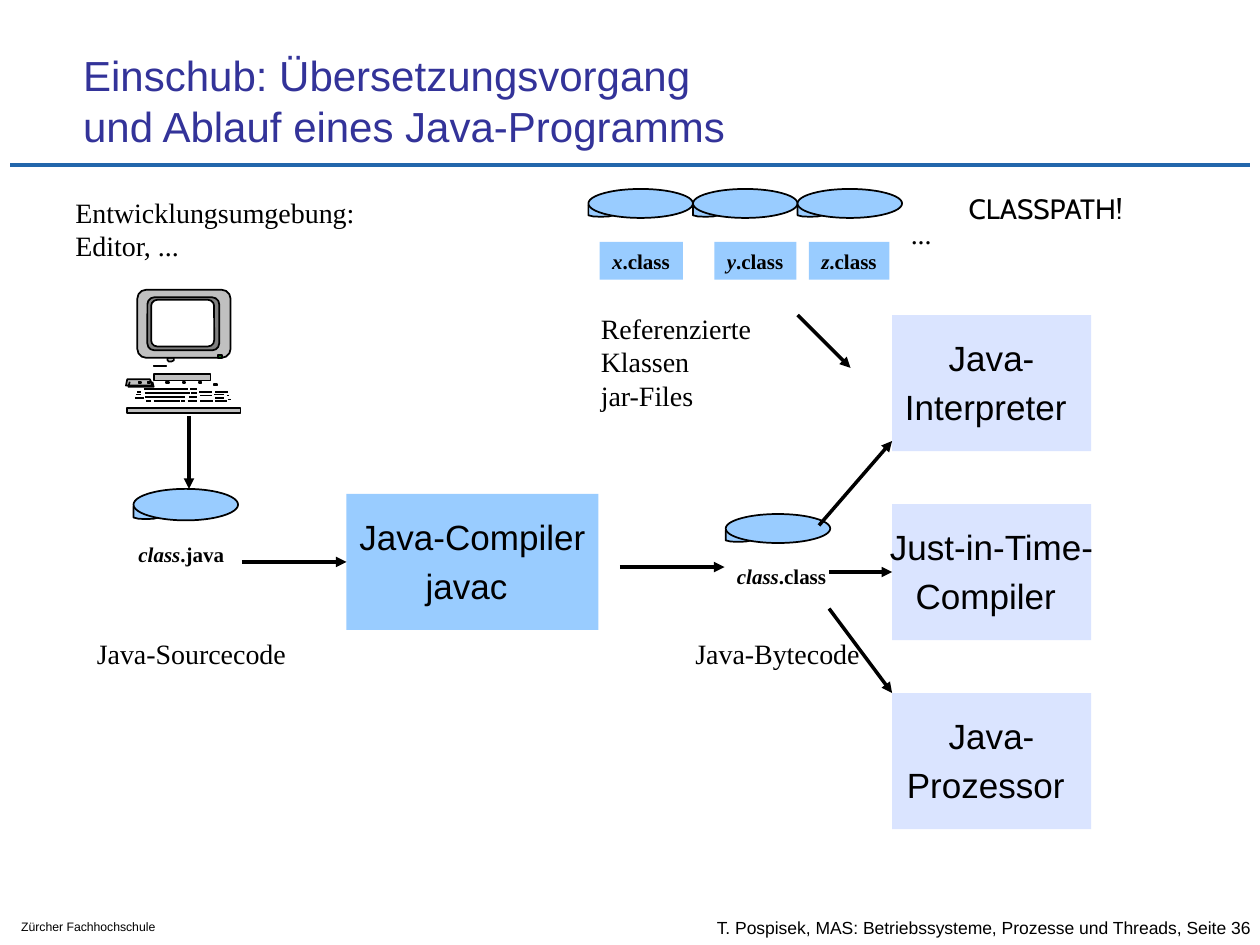
from lxml.etree import SubElement
from pptx import Presentation
from pptx.dml.color import RGBColor
from pptx.enum.shapes import MSO_CONNECTOR, MSO_SHAPE
from pptx.enum.text import MSO_ANCHOR, MSO_AUTO_SIZE, PP_ALIGN
from pptx.oxml.ns import qn
from pptx.util import Inches, Pt

COLORS = {
    "black": "000000", "white": "FFFFFF", "title": "333399", "rule": "2266AB",
    "blue": "99CCFF", "lavender": "DAE4FF", "silver": "C0C0C0",
    "gray": "808080", "green": "008000",
}
SERIF = "Times New Roman"
KEY_ROWS = {
    3.09: [(1.14, 1.49), (1.51, 1.56)],
    3.11: [(1.09, 1.12), (1.58, 1.68), (1.71, 1.81)],
    3.12: [(1.15, 1.51), (1.52, 1.56)],
    3.13: [(1.08, 1.12), (1.7, 1.78)],
    3.14: [(1.59, 1.68), (1.8, 1.82)],
    3.15: [(1.15, 1.47), (1.5, 1.56)],
    3.16: [(1.07, 1.14), (1.71, 1.78)],
    3.17: [(1.81, 1.83)],
    3.18: [(1.16, 1.2), (1.22, 1.43), (1.44, 1.47), (1.49, 1.56),
           (1.59, 1.69), (1.71, 1.8)],
}


def rgb(name):
    """Return the named colour."""
    return RGBColor.from_string(COLORS[name])


def style_run(r, size, font=SERIF, color="black", bold=False, italic=False):
    """Format one run."""
    r.font.size, r.font.name = Pt(size), font
    r.font.bold, r.font.italic = bold, italic
    r.font.color.rgb = rgb(color)


def style_shape(sp, fill, outline=True):
    """Set fill and outline of a shape without shadow."""
    sp.shadow.inherit = False
    if fill:
        sp.fill.solid()
        sp.fill.fore_color.rgb = rgb(fill)
    else:
        sp.fill.background()
    if outline:
        sp.line.color.rgb, sp.line.width = rgb("black"), Pt(1)
    else:
        sp.line.fill.background()


def add_preset(shapes, kind, x, y, w, h, fill, outline=True):
    """Add a filled preset shape."""
    sp = shapes.add_shape(kind, Inches(x), Inches(y), Inches(w), Inches(h))
    style_shape(sp, fill, outline)
    return sp


def add_outline(shapes, points, fill, close=True):
    """Add a freeform through the given points."""
    pts = [(Inches(x), Inches(y)) for x, y in points]
    builder = shapes.build_freeform(*pts[0])
    builder.add_line_segments(pts[1:], close=close)
    style_shape(builder.convert_to_shape(), fill)


def add_line(shapes, start, end, width=1, color="black", arrow=False):
    """Add a straight line, optionally with an arrowhead at its end."""
    line = shapes.add_connector(MSO_CONNECTOR.STRAIGHT,
                                *(Inches(v) for v in (*start, *end)))
    line.line.color.rgb, line.line.width = rgb(color), Pt(width)
    if arrow:
        SubElement(line.line._get_or_add_ln(), qn("a:tailEnd"), type="triangle")
    SubElement(line._element.spPr, qn("a:effectLst"))
    return line


def add_label(shapes, x, y, w, h, text, size=16, font=SERIF):
    """Add a plain text label that grows with its text."""
    tf = shapes.add_textbox(Inches(x), Inches(y), Inches(w), Inches(h)).text_frame
    tf.word_wrap, tf.auto_size = False, MSO_AUTO_SIZE.SHAPE_TO_FIT_TEXT
    tf.text = text
    for p in tf.paragraphs:
        style_run(p.runs[0], size, font)
    return tf


def add_file_label(shapes, x, y, w, stem, extension, fill=None):
    """Add a file name with an italic stem."""
    sp = add_preset(shapes, MSO_SHAPE.RECTANGLE, x, y, w, 0.3, fill, False)
    tf = sp.text_frame
    tf.word_wrap, tf.auto_size = False, MSO_AUTO_SIZE.SHAPE_TO_FIT_TEXT
    tf.vertical_anchor = MSO_ANCHOR.TOP
    p = tf.paragraphs[0]
    p.alignment = PP_ALIGN.LEFT
    for text, italic in ((stem, True), (extension, False)):
        r = p.add_run()
        r.text = text
        style_run(r, 12, bold=True, italic=italic)


def add_step(shapes, x, y, w, text, fill):
    """Add a two-line processing box."""
    sp = add_preset(shapes, MSO_SHAPE.RECTANGLE, x, y, w, 1.08, fill, False)
    tf = sp.text_frame
    tf.word_wrap, tf.vertical_anchor = False, MSO_ANCHOR.MIDDLE
    tf.text = text
    for p in tf.paragraphs:
        p.alignment = PP_ALIGN.CENTER
        style_run(p.runs[0], 20, "Arial")
    r = tf.paragraphs[-1].add_run()
    r.text = " "
    style_run(r, 24, "Arial", bold=True)
    return sp


def add_disk(shapes, x, y, h=0.23):
    """Add a disk with a small tab below its left edge."""
    grp = shapes.add_group_shape().shapes
    tab = [(0, 0.56), (0, 0.91), (0.04, 0.95), (0.1, 0.96),
           (0.16, 0.95), (0.2, 0.91), (0.2, 0.56)]
    add_outline(grp, [(x + dx, y + dy * h) for dx, dy in tab], "blue")
    add_preset(grp, MSO_SHAPE.OVAL, x, y, 0.83, h, "blue")


def add_computer(shapes):
    """Add a desktop computer with screen and keyboard."""
    grp = shapes.add_group_shape().shapes
    add_preset(grp, MSO_SHAPE.RECTANGLE, 1.22, 2.9, 0.1, 0.01, "silver")
    add_preset(grp, MSO_SHAPE.RECTANGLE, 1.22, 2.97, 0.45, 0.05, "silver")
    add_outline(grp, [(1.33, 2.84), (1.38, 2.84), (1.38, 2.86), (1.36, 2.87),
                      (1.34, 2.87), (1.33, 2.86)], "silver")
    add_preset(grp, MSO_SHAPE.RECTANGLE, 1.01, 3.24, 0.9, 0.04, "silver")
    add_outline(grp, [(1, 3.06), (1.21, 3.06), (1.19, 3.01), (1.01, 3.01)], "silver")
    add_outline(grp, [(1.03, 3.03), (1.02, 3.07), (1.22, 3.07), (1.21, 3.03)],
                None, close=False)
    for x, y in ((1.1, 3.03), (1.17, 3.03), (1.32, 3.03), (1.45, 3.03),
                 (1.58, 3.03), (1.7, 3.05)):
        add_preset(grp, MSO_SHAPE.RECTANGLE, x, y, 0.02, 0.01, "gray")
    for y, spans in KEY_ROWS.items():
        for x1, x2 in spans:
            add_line(grp, (x1, y), (x2, y))
    for x, y, w, h, fill in ((1.09, 2.3, 0.74, 0.54, "silver"),
                             (1.17, 2.36, 0.57, 0.42, "gray"),
                             (1.2, 2.38, 0.5, 0.37, "white")):
        sp = add_preset(grp, MSO_SHAPE.ROUNDED_RECTANGLE, x, y, w, h, fill)
        sp.adjustments[0] = 0.13
    add_preset(grp, MSO_SHAPE.RECTANGLE, 1.73, 2.82, 0.03, 0.02, "green")


def add_title(slide, text):
    """Fill and place the title placeholder."""
    sp = slide.shapes.title
    sp.left, sp.top, sp.width, sp.height = (Inches(v) for v in (0.56, 0.42, 7.08, 0.75))
    tf = sp.text_frame
    tf.auto_size, tf.vertical_anchor = MSO_AUTO_SIZE.NONE, MSO_ANCHOR.MIDDLE
    p = tf.paragraphs[0]
    p.text = text
    p.alignment = PP_ALIGN.LEFT
    for r in p.runs:
        style_run(r, 24, "Arial", "title")


def main():
    """Build the slide and save it."""
    prs = Presentation()
    prs.slide_width, prs.slide_height = Inches(10), Inches(7.5)
    slide = prs.slides.add_slide(prs.slide_layouts[5])
    shapes = slide.shapes
    add_title(slide, "Einschub: Übersetzungsvorgang\vund Ablauf eines Java-Programms")
    add_line(shapes, (0.08, 1.31), (9.92, 1.31), 2.5, "rule")
    footer = add_label(shapes, 5.59, 7.2, 5.29, 0.33,
                       "T. Pospisek, MAS: Betriebssysteme, Prozesse und Threads, Seite 36",
                       10, "Arial")
    footer.word_wrap, footer.auto_size = True, MSO_AUTO_SIZE.NONE
    footer.vertical_anchor = MSO_ANCHOR.MIDDLE
    school = add_label(shapes, 0.07, 7.25, 1.72, 0.22, "Zürcher Fachhochschule", 7, "Arial")
    school.word_wrap = True

    compiler = add_step(shapes, 2.75, 3.92, 2, "Java-Compiler\njavac", "blue")
    targets = [add_step(shapes, 7.08, 2.5 + 1.5 * i, 1.58, text, "lavender")
               for i, text in enumerate(("Java-\nInterpreter", "Just-in-Time-\nCompiler",
                                         "Java-\nProzessor"))]
    add_computer(shapes)
    add_disk(shapes, 1.06, 3.88, 0.25)
    add_disk(shapes, 5.76, 4.08)
    for i, (stem, x, w) in enumerate((("x", 4.76, 0.66), ("y", 5.67, 0.65),
                                      ("z", 6.42, 0.64))):
        add_disk(shapes, 4.67 + 0.83 * i, 1.5)
        add_file_label(shapes, x, 1.92, w, stem, ".class", "blue")
    add_file_label(shapes, 1, 4.25, 0.88, "class", ".java")
    add_file_label(shapes, 5.75, 4.42, 0.91, "class", ".class")

    add_label(shapes, 0.5, 1.5, 2.47, 0.64, "Entwicklungsumgebung:\nEditor, ...")
    add_label(shapes, 0.67, 5, 1.7, 0.37, "Java-Sourcecode")
    add_label(shapes, 5.42, 5, 1.52, 0.37, "Java-Bytecode")
    add_label(shapes, 4.67, 2.42, 1.45, 0.9, "Referenzierte\nKlassen\njar-Files")
    add_label(shapes, 7.13, 1.67, 0.38, 0.37, "...")
    add_label(shapes, 7.59, 1.47, 1.44, 0.37, "CLASSPATH!", font="Cabin")

    for start, end in (((1.5, 3.3), (1.5, 3.88)), ((4.92, 4.5), (5.75, 4.5)),
                       ((6.5, 4.17), (7.08, 3.5)), ((6.58, 4.83), (7.08, 5.5)),
                       ((6.33, 2.5), (6.75, 2.92))):
        add_line(shapes, start, end, 2, arrow=True)
    for x, y, step in ((1.92, 4.46, compiler), (6.58, 4.54, targets[1])):
        arrow = add_line(shapes, (x, y), (x + 0.5, y), 2, arrow=True)
        arrow.end_connect(step, 1)
    prs.save("out.pptx")


if __name__ == "__main__":
    main()
